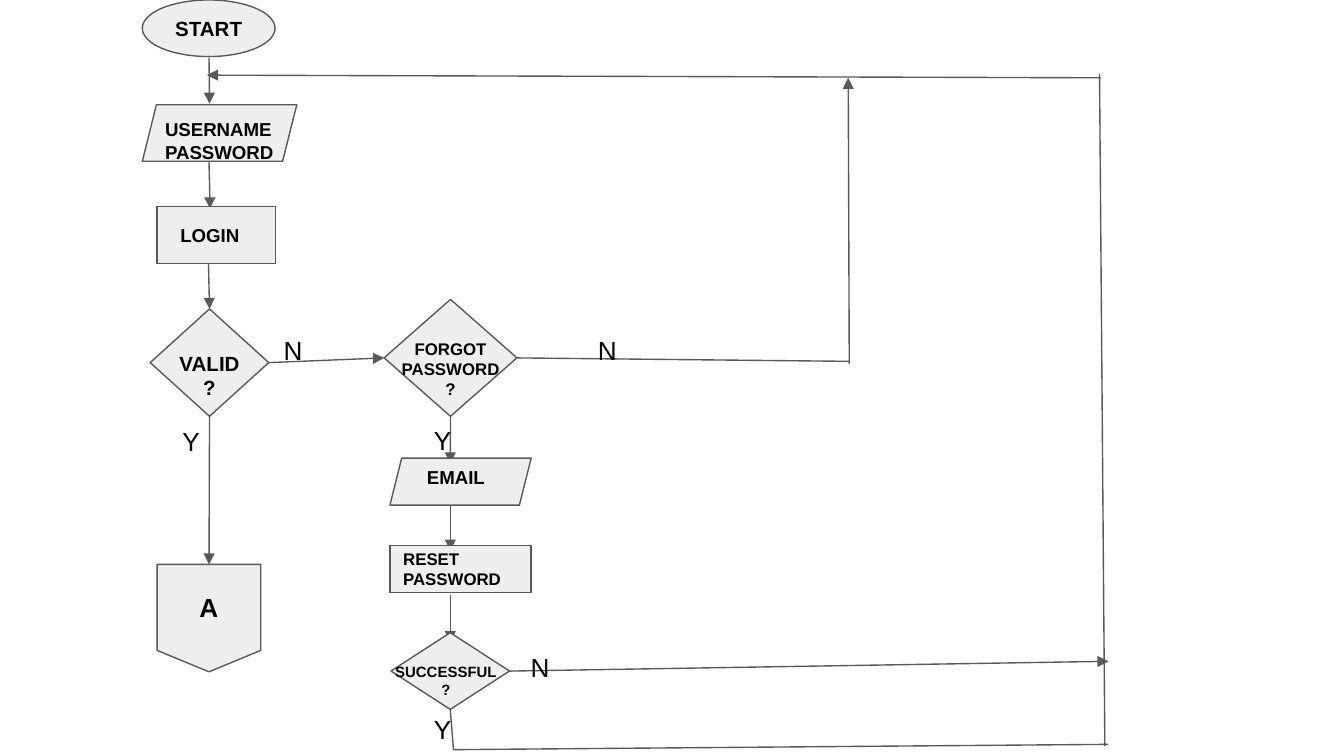
import pptx
import pptx.dml.color
import pptx.enum.shapes
import pptx.enum.text
import pptx.oxml
import pptx.oxml.ns
import pptx.util

Cm = pptx.util.Cm
Shape = pptx.enum.shapes.MSO_SHAPE
Align = pptx.enum.text.PP_ALIGN
Anchor = pptx.enum.text.MSO_ANCHOR
TOP, LEFT, BOTTOM, RIGHT = range(4)


def rgb(value):
    return pptx.dml.color.RGBColor.from_string(value)


class Flowchart:
    fill, line, ink = "EEEEEE", "595959", "000000"
    font = "Arial"
    line_width = pptx.util.Pt(0.75)
    inset = 0.25

    def __init__(self, slide):
        self.s = slide

    def outline(self, sp):
        sp.line.color.rgb = rgb(self.line)
        sp.line.width = self.line_width

    def set_text(self, sp, text, size, bold=True, align=Align.CENTER,
                 anchor=Anchor.MIDDLE, left=inset, right=inset):
        tf = sp.text_frame
        frame = {"word_wrap": True, "vertical_anchor": anchor,
                 "margin_left": Cm(left), "margin_right": Cm(right),
                 "margin_top": Cm(self.inset), "margin_bottom": Cm(self.inset)}
        for name, value in frame.items():
            setattr(tf, name, value)
        font = {"name": self.font, "size": pptx.util.Pt(size), "bold": bold}
        for i, line in enumerate(text.split("\n")):
            p = tf.add_paragraph() if i else tf.paragraphs[0]
            p.alignment = align
            r = p.add_run()
            r.text = line
            for name, value in font.items():
                setattr(r.font, name, value)
            r.font.color.rgb = rgb(self.ink)

    def node(self, kind, box, text="", size=10, **style):
        sp = self.s.shapes.add_shape(kind, *map(Cm, box))
        sp.shadow.inherit = False
        sp.fill.solid()
        sp.fill.fore_color.rgb = rgb(self.fill)
        self.outline(sp)
        if text:
            self.set_text(sp, text, size, **style)
        return sp

    def text(self, box, text, size, **style):
        sp = self.s.shapes.add_textbox(*map(Cm, box))
        self.set_text(sp, text, size, anchor=Anchor.TOP, **style)
        sp.text_frame.auto_size = pptx.enum.text.MSO_AUTO_SIZE.SHAPE_TO_FIT_TEXT

    def label(self, x, y, text):
        """Branch label, Y or N."""
        self.text((x, y, 0.6, 1.09), text, 14, bold=False, align=Align.LEFT)

    def connect(self, start, end, begin_at=None, end_at=None, arrow=True):
        """Straight line between points; *_at is a (shape, side) to join."""
        c = self.s.shapes.add_connector(
            pptx.enum.shapes.MSO_CONNECTOR.STRAIGHT, *map(Cm, start + end))
        self.outline(c)
        if begin_at:
            c.begin_connect(*begin_at)
        if end_at:
            c.end_connect(*end_at)
        if arrow:
            ln = c.line._get_or_add_ln()
            tail = pptx.oxml.parse_xml(
                "<a:tailEnd %s type='triangle'/>" % pptx.oxml.ns.nsdecls("a"))
            ln.append(tail)
        c._element.spPr.append(pptx.oxml.parse_xml(
            "<a:effectLst %s/>" % pptx.oxml.ns.nsdecls("a")))


def main():
    prs = pptx.Presentation()
    prs.slide_width, prs.slide_height = Cm(25.4), Cm(14.29)
    chart = Flowchart(prs.slides.add_slide(prs.slide_layouts[6]))

    # Login column
    chart.node(Shape.OVAL, (2.69, 0, 2.51, 1.07), "START", 11)
    chart.connect((3.95, 1.09), (3.96, 1.96))
    chart.node(Shape.PARALLELOGRAM, (2.69, 1.98, 2.92, 1.07))
    chart.text((2.87, 1.98, 3.35, 1.35), "USERNAME PASSWORD", 10,
               align=Align.LEFT)
    chart.connect((3.95, 3.05), (3.97, 3.94))
    chart.node(Shape.RECTANGLE, (2.97, 3.91, 2.24, 1.07), "LOGIN",
               align=Align.LEFT, left=0.44)
    valid = chart.node(Shape.DIAMOND, (2.84, 5.84, 2.24, 2.03))
    chart.connect((3.94, 4.98), (3.96, 5.84), end_at=(valid, TOP))
    chart.text((2.92, 6.38, 2.08, 1.45), "VALID\n?", 11)
    page_a = chart.node(Shape.FLOWCHART_OFFPAGE_CONNECTOR,
                        (2.97, 10.67, 1.96, 2.03), "A", 14)
    chart.connect((3.96, 7.87), (3.95, 10.67), (valid, BOTTOM), (page_a, TOP))

    # Password reset column
    forgot = chart.node(Shape.DIAMOND, (7.26, 5.66, 2.51, 2.21))
    chart.connect((5.08, 6.86), (7.26, 6.77), (valid, RIGHT), (forgot, LEFT))
    chart.text((7.26, 6.15, 2.51, 1.65), "FORGOT\nPASSWORD\n?", 9)
    chart.connect((8.51, 7.87), (8.51, 8.76), (forgot, BOTTOM))
    chart.node(Shape.PARALLELOGRAM, (7.37, 8.66, 2.67, 0.89))
    chart.text((7.52, 8.59, 2.51, 0.94), "EMAIL", 10,
               align=Align.LEFT, left=0.55)
    chart.connect((8.51, 9.55), (8.51, 10.41))
    chart.node(Shape.RECTANGLE, (7.37, 10.31, 2.67, 0.89), "RESET\nPASSWORD",
               9, align=Align.LEFT)
    chart.connect((8.51, 11.25), (8.51, 12.14))
    success = chart.node(Shape.DIAMOND, (7.39, 11.96, 2.24, 1.45))
    chart.text((7.21, 12.27, 2.54, 1.19), "SUCCESSFUL\n?", 8,
               left=0.2, right=0.3)

    # Return paths to the login form
    chart.connect((8.51, 13.41), (8.57, 14.17), (success, BOTTOM), arrow=False)
    chart.connect((8.57, 14.17), (20.94, 14.07), arrow=False)
    chart.connect((20.78, 1.4), (20.88, 14.1), arrow=False)
    chart.connect((20.8, 1.47), (3.91, 1.42))
    chart.connect((9.77, 6.77), (16.05, 6.83), (forgot, RIGHT), arrow=False)
    chart.connect((16.05, 6.88), (16.03, 1.47))
    chart.connect((9.63, 12.68), (20.95, 12.5), (success, RIGHT))

    for x, y, text in [(11.05, 6.07, "N"), (5.11, 6.07, "N"),
                       (7.95, 7.77, "Y"), (3.2, 7.8, "Y"),
                       (9.78, 12.07, "N"), (7.95, 13.23, "Y")]:
        chart.label(x, y, text)

    prs.save("out.pptx")


if __name__ == "__main__":
    main()
